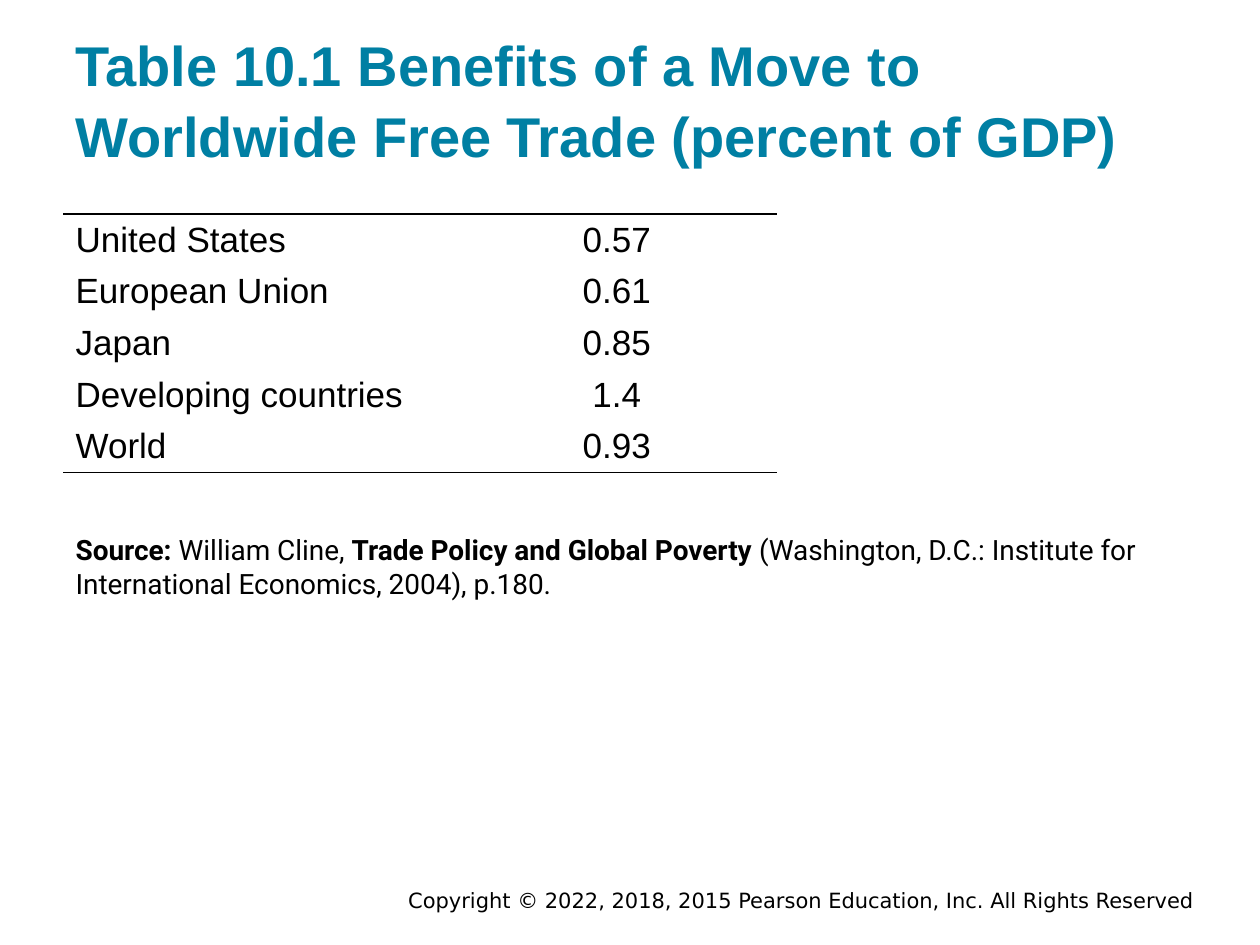
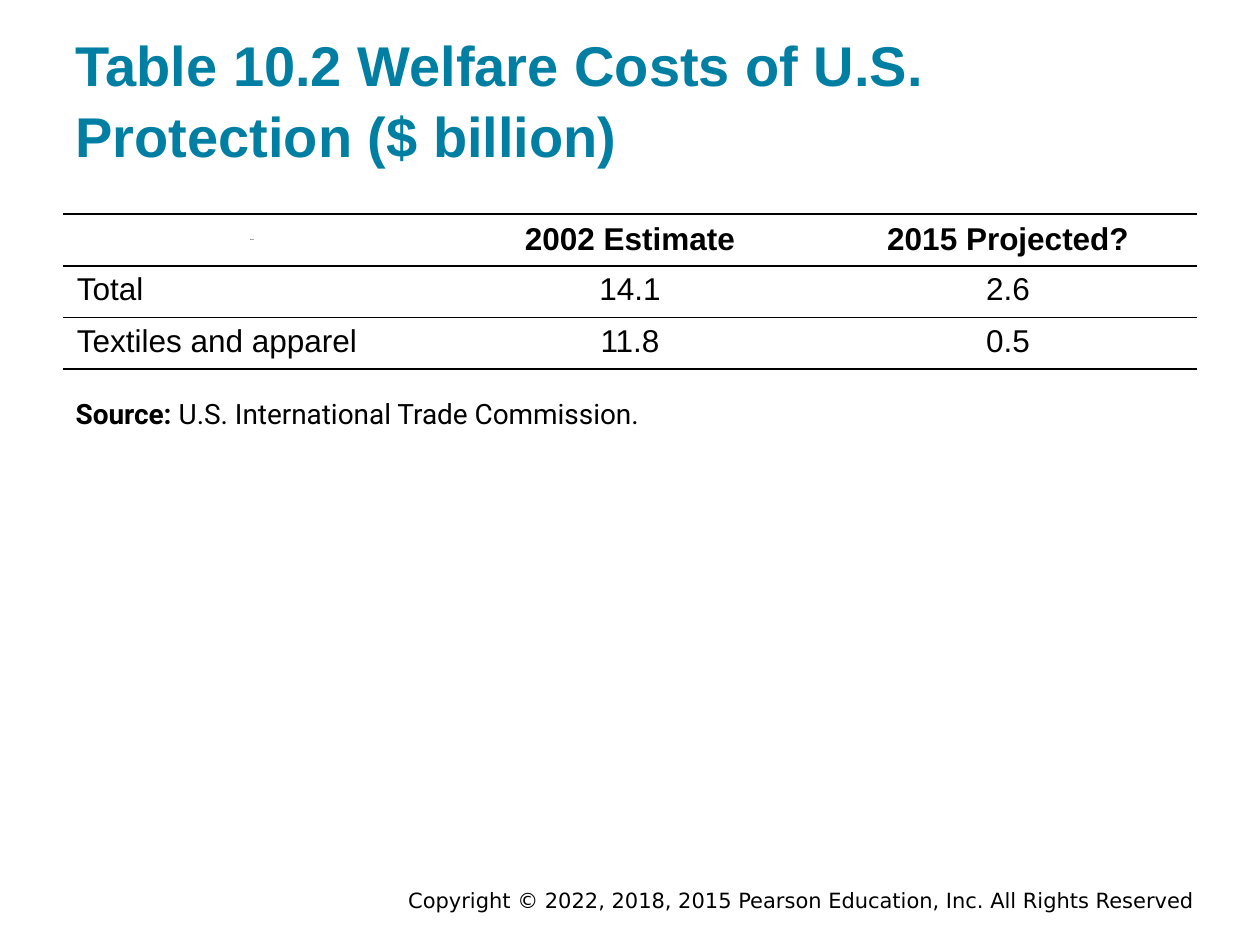
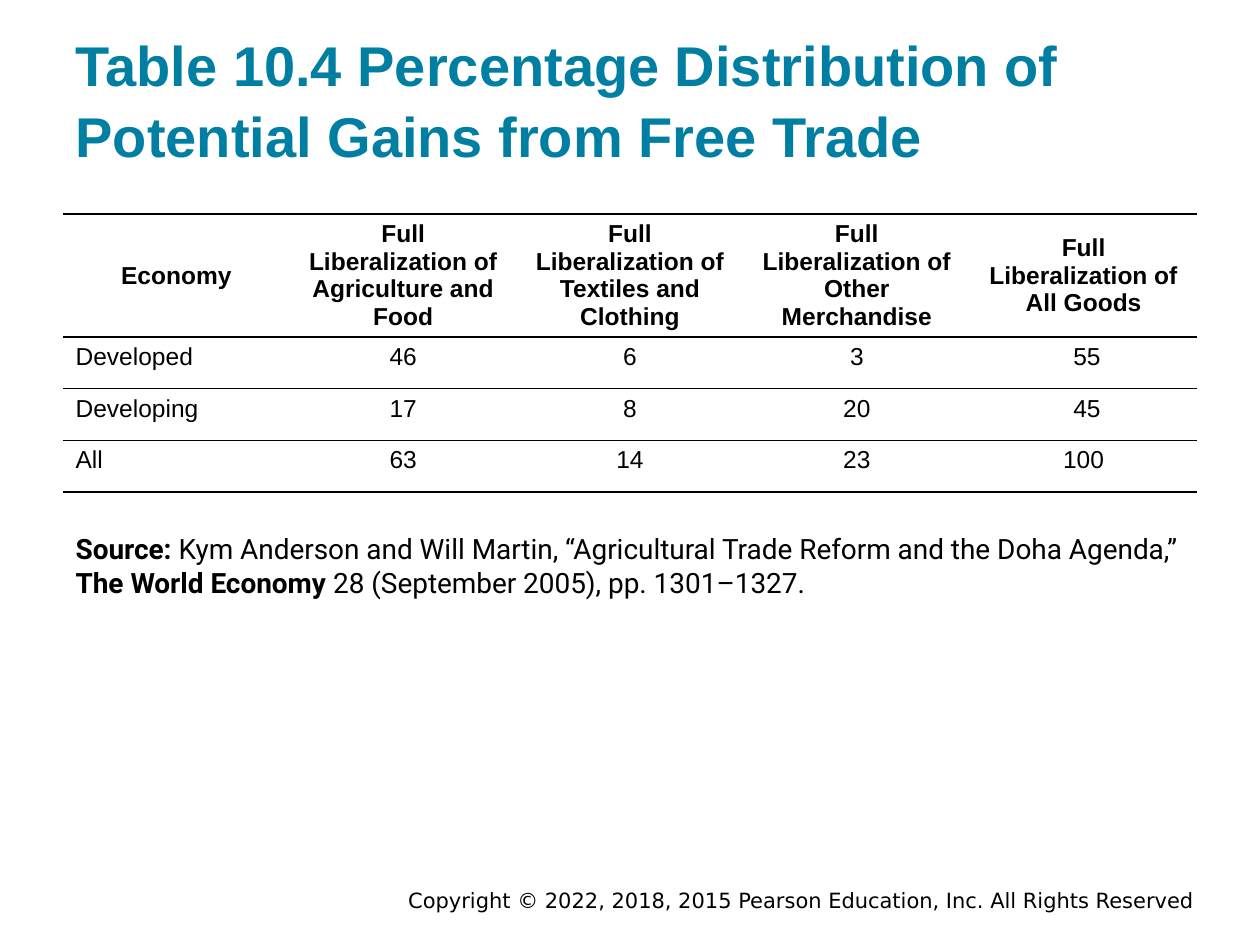
from lxml.etree import SubElement
from pptx import Presentation
from pptx.dml.color import RGBColor
from pptx.enum.text import MSO_ANCHOR, MSO_AUTO_SIZE, PP_ALIGN
from pptx.oxml.ns import qn
from pptx.util import Inches, Pt

TEAL = "007FA3"
BLACK = "000000"
NO_GRID_STYLE = "{2D5ABB26-0587-4C30-8999-92F81FD0307C}"
MARGIN = 0.5
TABLE_TOP = 1.7
ROW_HEIGHT = 0.41
COPYRIGHT = "Copyright © 2022, 2018, 2015 Pearson Education, Inc. All Rights Reserved"

SLIDES = [
    {
        "title": "Table 10.1 Benefits of a Move to Worldwide Free Trade (percent of GDP)",
        "columns": [3.12, 2.55],
        "rows": [
            ["United States", "0.57"],
            ["European Union", "0.61"],
            ["Japan", "0.85"],
            ["Developing countries", "1.4"],
            ["World", "0.93"],
        ],
        "has_header": False,
        "size": 20,
        "side_inset": 0.1,
        "rules": {0, 5},
        "source_box": (4.13, 9, 0.72),
        "source": [
            "Source: ",
            "William Cline, ",
            "Trade Policy and Global Poverty ",
            "(Washington, D.C.: Institute for International Economics, 2004), p.180.",
        ],
    },
    {
        "title": "Table 10.2 Welfare Costs of U.S. Protection ($ billion)",
        "columns": [3] * 3,
        "rows": [
            ["blank", "2002 Estimate", "2015 Projected?"],
            ["Total", "14.1", "2.6"],
            ["Textiles and apparel", "11.8", "0.5"],
        ],
        "has_header": True,
        "size": 18,
        "side_inset": 0.11,
        "rules": {0, 1, 2, 3},
        "source_box": (3.05, 5.21, 0.47),
        "source": ["Source: ", "U.S. International Trade Commission."],
    },
    {
        "title": "Table 10.4 Percentage Distribution of Potential Gains from Free Trade",
        "columns": [1.8] * 5,
        "rows": [
            [
                "Economy",
                "Full Liberalization of\nAgriculture and Food",
                "Full Liberalization of\nTextiles and Clothing",
                "Full Liberalization of\nOther Merchandise",
                "Full Liberalization of\nAll Goods",
            ],
            ["Developed", "46", "6", "3", " 55"],
            ["Developing", "17", "8", "20", " 45"],
            ["All", "63", "14", "23", "100"],
        ],
        "has_header": True,
        "size": 14,
        "side_inset": 0.1,
        "rules": {0, 1, 2, 4},
        "source_box": (4.12, 9, 0.75),
        "source": [
            "Source: ",
            "Kym Anderson and Will Martin, “Agricultural Trade Reform and the Doha Agenda,” ",
            "The World Economy ",
            "28 (September 2005), pp. 1301–1327.",
        ],
    },
]


def style_font(font, name, size, color, bold=None):
    font.name = name
    font.size = Pt(size)
    font.color.rgb = RGBColor.from_string(color)
    font.bold = bold


def set_frame(frame, anchor, side, vertical):
    frame.word_wrap = True
    frame.auto_size = MSO_AUTO_SIZE.NONE
    frame.vertical_anchor = anchor
    frame.margin_left = frame.margin_right = Inches(side)
    frame.margin_top = frame.margin_bottom = Inches(vertical)


prs = Presentation()
prs.slide_width = Inches(10)
prs.slide_height = Inches(7.5)
layout = prs.slide_layouts[1]
for placeholder in list(layout.placeholders)[2:]:
    layout.shapes.element.remove(placeholder.element)

for content in SLIDES:
    slide = prs.slides.add_slide(layout)
    title, source = slide.placeholders

    title.left, title.top = Inches(MARGIN), Inches(0.24)
    title.width, title.height = Inches(9), Inches(1.2)
    set_frame(title.text_frame, MSO_ANCHOR.BOTTOM, 0.1, 0.1)
    title.text_frame.text = content["title"]
    heading = title.text_frame.paragraphs[0]
    heading.alignment = PP_ALIGN.LEFT
    heading.line_spacing = 1.06
    style_font(heading.font, "Arial", 32, TEAL, True)

    columns, rows = content["columns"], content["rows"]
    frame = slide.shapes.add_table(
        len(rows), len(columns), Inches(MARGIN), Inches(TABLE_TOP),
        Inches(sum(columns)), Inches(ROW_HEIGHT * len(rows)))
    table = frame.table
    table.first_row = content["has_header"]
    table.horz_banding = False
    frame.element.find(".//" + qn("a:tableStyleId")).text = NO_GRID_STYLE
    for column, width in zip(table.columns, columns):
        column.width = Inches(width)
    for r, values in enumerate(rows):
        table.rows[r].height = Inches(ROW_HEIGHT)
        is_header = content["has_header"] and r == 0
        for c, value in enumerate(values):
            cell = table.cell(r, c)
            cell.text = value
            cell.margin_left = cell.margin_right = Inches(content["side_inset"])
            cell.vertical_anchor = MSO_ANCHOR.MIDDLE if is_header else MSO_ANCHOR.TOP
            size = 1 if value == "blank" else content["size"]
            for paragraph in cell.text_frame.paragraphs:
                paragraph.alignment = PP_ALIGN.CENTER if is_header or c else PP_ALIGN.LEFT
                style_font(paragraph.font, "Arial", size, BLACK, is_header and size > 1)
            properties = cell._tc.get_or_add_tcPr()
            for side, edge in (("a:lnT", r), ("a:lnB", r + 1)):
                if edge in content["rules"]:
                    rule = SubElement(properties, qn(side), w=str(Pt(1)))
                    fill = SubElement(rule, qn("a:solidFill"))
                    SubElement(fill, qn("a:srgbClr"), val=BLACK)
            cell.fill.background()

    top, width, height = content["source_box"]
    source.left, source.top = Inches(MARGIN), Inches(top)
    source.width, source.height = Inches(width), Inches(height)
    set_frame(source.text_frame, MSO_ANCHOR.TOP, 0.1, 0.1)
    citation = source.text_frame.paragraphs[0]
    citation_properties = citation._p.get_or_add_pPr()
    citation_properties.set("marL", "0")
    citation_properties.set("indent", "0")
    SubElement(citation_properties, qn("a:buNone"))
    citation.space_before = Pt(0)
    style_font(citation.font, "Roboto", 16, BLACK)
    for i, text in enumerate(content["source"]):
        run = citation.add_run()
        run.text = text
        run.font.bold = i % 2 == 0

copyright_line = slide.shapes.add_textbox(Inches(1.75), Inches(7.03), Inches(7.83), Inches(0.22))
set_frame(copyright_line.text_frame, MSO_ANCHOR.MIDDLE, 0.1, 0.05)
copyright_line.text_frame.text = COPYRIGHT
notice = copyright_line.text_frame.paragraphs[0]
notice.alignment = PP_ALIGN.RIGHT
style_font(notice.font, "DejaVu Sans", 12, BLACK)
layout.shapes.element.append(copyright_line.element)

prs.save("out.pptx")
